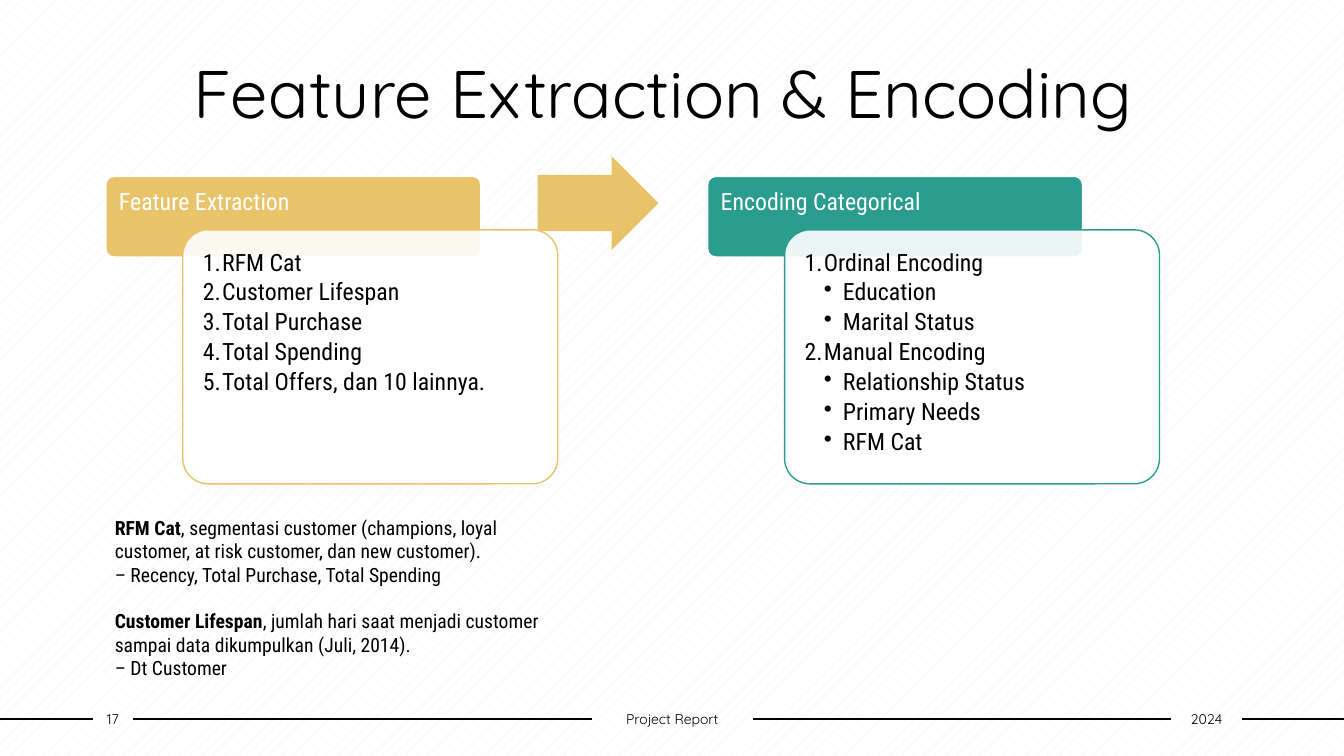
from lxml.etree import SubElement
from pptx import Presentation
from pptx.dml.color import RGBColor as RGB
from pptx.enum.dml import MSO_PATTERN as Pattern
from pptx.enum.shapes import MSO_CONNECTOR as Link, MSO_SHAPE as Kind
from pptx.enum.text import MSO_ANCHOR as Anchor, PP_ALIGN as Align
from pptx.oxml.ns import qn
from pptx.util import Inches, Pt

# Grid: 40 columns by 30 rows
WIDTH, HEIGHT = Inches(40 / 3), Inches(7.5)
COL, ROW = WIDTH / 40, HEIGHT / 30

BLACK = RGB(0x00, 0x00, 0x00)
WHITE = RGB(0xFF, 0xFF, 0xFF)
GOLD = RGB(0xE9, 0xC3, 0x69)
TEAL = RGB(0x2A, 0x9D, 0x8F)
BLUSH = RGB(0xF3, 0xEB, 0xE8)
HEAD, BODY = "Quicksand", "Roboto Condensed"

INDENT = Inches(0.19)
PAD = 0.13
NUMBER, DOT = 1, 2  # list levels

FEATURES = [(NUMBER, "RFM Cat"), (NUMBER, "Customer Lifespan"),
            (NUMBER, "Total Purchase"), (NUMBER, "Total Spending"),
            (NUMBER, "Total Offers, dan 10 lainnya.")]
CODES = [(NUMBER, "Ordinal Encoding"), (DOT, "Education"),
         (DOT, "Marital Status"), (NUMBER, "Manual Encoding"),
         (DOT, "Relationship Status"), (DOT, "Primary Needs"),
         (DOT, "RFM Cat")]
NOTES = [
    ("RFM Cat", ", segmentasi customer (champions, loyal customer, "
     "at risk customer, dan new customer). ",
     "– Recency, Total Purchase, Total Spending"),
    ("Customer Lifespan", ", jumlah hari saat menjadi customer "
     "sampai data dikumpulkan (Juli, 2014). ", "– Dt Customer"),
]
FOOTER = [(2.76, 1.2, "17"), (17.61, 4.8, "Project Report"),
          (34.86, 2.1, "2024")]


def place(x, y, w, h):
    return [round(v) for v in (x * COL, y * ROW, w * COL, h * ROW)]


def style(para, face, size, color=BLACK):
    para.font.name = face
    para.font.size = Pt(size)
    para.font.color.rgb = color


def add_box(slide, spot, pads=(0.1, 0.05, 0.1, 0.05), anchor=Anchor.TOP):
    box = slide.shapes.add_textbox(*place(*spot))
    frame = box.text_frame
    frame.word_wrap = True
    frame.vertical_anchor = anchor
    (frame.margin_left, frame.margin_top, frame.margin_right,
     frame.margin_bottom) = [Inches(pad) for pad in pads]
    return box


def add_label(slide, spot, text, face, size, color=BLACK, align=None, **look):
    box = add_box(slide, spot, **look)
    para = box.text_frame.paragraphs[0]
    para.text = text
    para.alignment = align
    style(para, face, size, color)
    return box


def add_form(slide, kind, spot, fill, line=None, adjust=(0.1,), alpha=None):
    form = slide.shapes.add_shape(kind, *place(*spot))
    form.shadow.inherit = False
    for i, value in enumerate(adjust):
        form.adjustments[i] = value
    form.fill.solid()
    form.fill.fore_color.rgb = fill
    if alpha:
        tone = form.fill._xPr.find(qn("a:solidFill"))[0]
        SubElement(tone, qn("a:alpha"), val=str(alpha * 1000))
    if line is None:
        form.line.fill.background()
    else:
        form.line.color.rgb = line
        form.line.width = Pt(1)


def add_list(slide, spot, items):
    frame = add_box(slide, spot, pads=(PAD,) * 4).text_frame
    for i, (level, text) in enumerate(items):
        para = frame.add_paragraph() if i else frame.paragraphs[0]
        para.text = text
        para.level = level
        props = para._p.get_or_add_pPr()
        props.set("marL", str(INDENT * level))
        props.set("indent", str(-INDENT))
        if level == NUMBER:
            SubElement(props, qn("a:buAutoNum"), type="arabicPeriod")
        else:
            SubElement(props, qn("a:buChar"), char="•")
        para.line_spacing = 0.9
        para.space_after = Pt(3)
        style(para, BODY, 17)


def add_panel(slide, x, name, color, items):
    y, w = 7, 11.16
    add_form(slide, Kind.ROUNDED_RECTANGLE, (x, y, w, 3.2), color, WHITE)
    label = add_label(slide, (x, y, w, 2.16), name, BODY, 17, WHITE,
                      pads=(PAD, PAD, PAD, 0.07))
    label.text_frame.paragraphs[0].line_spacing = 0.9
    # Overlapping card with its list
    x, y, h = x + 2.29, y + 2.12, 10.08
    add_form(slide, Kind.ROUNDED_RECTANGLE, (x, y, w, h), WHITE, color,
             alpha=90)
    add_list(slide, (x + 0.21, y + 0.3, w - 0.42, h - 0.6), items)


def add_notes(slide, spot):
    frame = add_box(slide, spot, anchor=Anchor.MIDDLE).text_frame
    for i, (term, text, source) in enumerate(NOTES):
        para = frame.add_paragraph() if i else frame.paragraphs[0]
        if i:
            para.space_before = Pt(16.4)
        style(para, BODY, 14)
        lead = para.add_run()
        lead.text = term
        lead.font.bold = True
        para.add_run().text = text
        para.add_line_break()
        para.add_run().text = source


def add_footer(slide):
    y, h = 28, 1.08
    boxes = [add_label(slide, (x, y, w, h), text, HEAD, 10,
                       align=Align.CENTER, pads=(0, 0.05, 0, 0.05),
                       anchor=Anchor.MIDDLE)
             for x, w, text in FOOTER]
    # Rules run from edge to edge between the labels
    mid = round((y + h / 2) * ROW)
    for left, right in zip([None] + boxes, boxes + [None]):
        rule = slide.shapes.add_connector(Link.STRAIGHT, 0, mid, WIDTH, mid)
        if left:
            rule.begin_connect(left, 3)
        if right:
            rule.end_connect(right, 1)
        rule.line.color.rgb = BLACK
        rule.line.width = Pt(1)
        SubElement(rule._element.spPr, qn("a:effectLst"))


def main():
    deck = Presentation()
    deck.slide_width, deck.slide_height = WIDTH, HEIGHT
    slide = deck.slides.add_slide(deck.slide_layouts[6])

    # Patterned background
    back = slide.background.fill
    back.patterned()
    back.pattern = Pattern.PERCENT_10
    back.fore_color.rgb = BLUSH
    back.back_color.rgb = WHITE

    # Title
    add_label(slide, (3.75, 1.84, 32.52, 4.84),
              "Feature Extraction & Encoding ", HEAD, 48, align=Align.CENTER)

    # Two steps and the arrow between them
    add_panel(slide, 3.15, "Feature Extraction", GOLD, FEATURES)
    add_form(slide, Kind.RIGHT_ARROW, (16, 6.2, 3.6, 3.72), GOLD,
             adjust=(0.6, 0.5))
    add_panel(slide, 21.06, "Encoding Categorical", TEAL, CODES)

    # Notes and footer
    add_notes(slide, (3.12, 19.76, 13.65, 7.92))
    add_footer(slide)
    deck.save("out.pptx")


if __name__ == "__main__":
    main()
